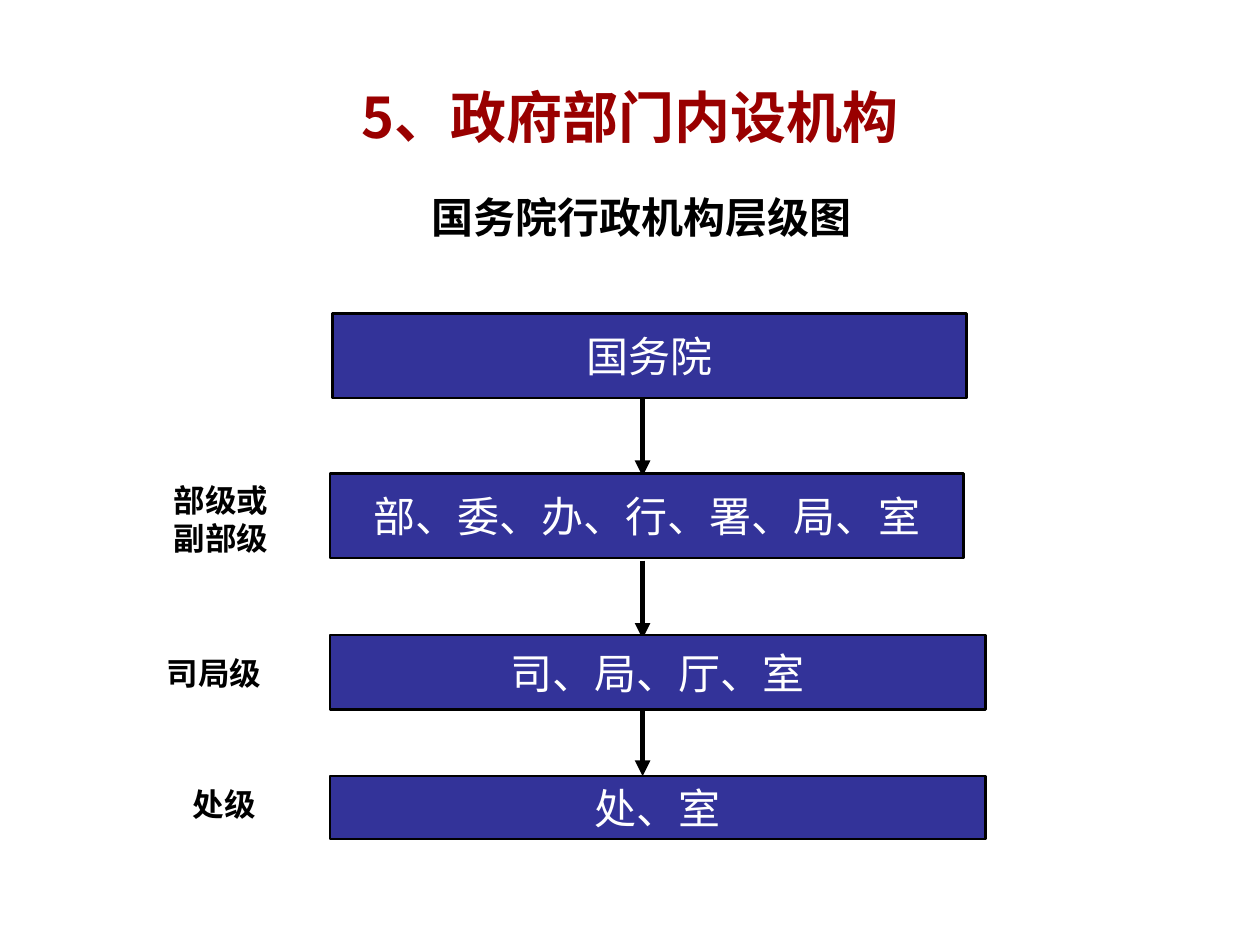
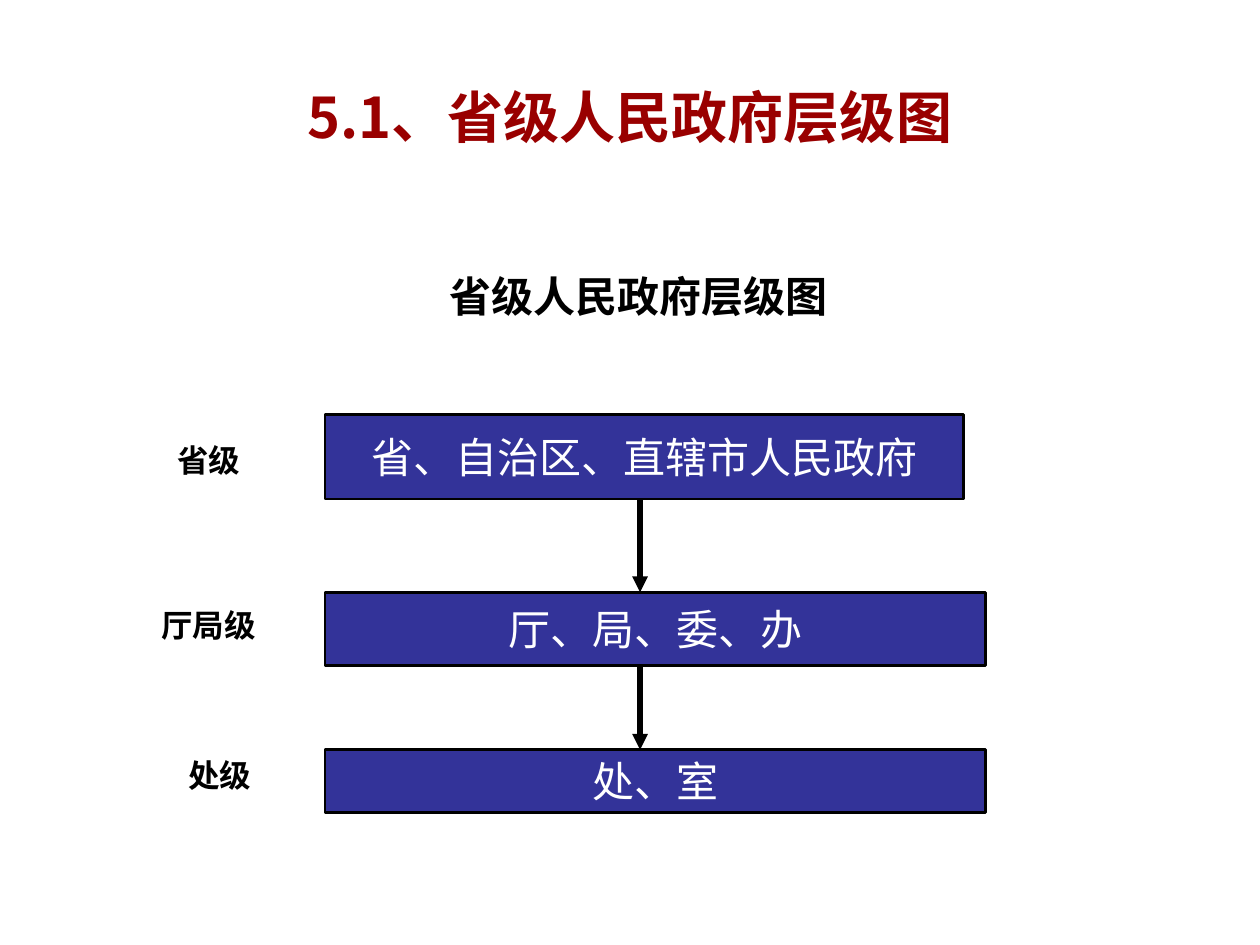
import pptx
import pptx.util
import pptx.dml.color
import pptx.enum.dml
import pptx.enum.lang
import pptx.enum.shapes
import pptx.enum.text
import pptx.oxml.ns
import lxml.etree

PX = 9144
RED = pptx.dml.color.RGBColor(0x99, 0x00, 0x00)
INDIGO = pptx.dml.color.RGBColor(0x33, 0x33, 0x99)
BLACK = pptx.dml.color.RGBColor(0x00, 0x00, 0x00)
WHITE = pptx.dml.color.RGBColor(0xFF, 0xFF, 0xFF)
LATIN_FONT = "Times New Roman"
CHINESE_FONT = "Noto Sans CJK SC"
LABEL_HEIGHT = 40
HEADING_HEIGHT = 50

ANCHOR = pptx.enum.text.MSO_ANCHOR
AUTO_SIZE = pptx.enum.text.MSO_AUTO_SIZE


def px(*lengths):
    return [pptx.util.Emu(length * PX) for length in lengths]


def write_text(shape, text, size, color, bold=False, font_name=LATIN_FONT):
    text_frame = shape.text_frame
    text_frame.text = text
    for paragraph in text_frame.paragraphs:
        paragraph.alignment = pptx.enum.text.PP_ALIGN.CENTER
        for run in paragraph.runs:
            font = run.font
            font.name = font_name
            font.size = pptx.util.Pt(size)
            font.bold = bold
            font.color.rgb = color
            font.language_id = pptx.enum.lang.MSO_LANGUAGE_ID.SIMPLIFIED_CHINESE
            properties = run._r.get_or_add_rPr()
            east_asian = lxml.etree.SubElement(properties, pptx.oxml.ns.qn("a:ea"))
            east_asian.set("typeface", CHINESE_FONT)


def add_title_slide(presentation, title_text):
    slide = presentation.slides.add_slide(presentation.slide_layouts[5])
    title = slide.shapes.title
    title.left, title.top, title.width, title.height = px(50, 30, 900, 125)
    title.text_frame.vertical_anchor = ANCHOR.MIDDLE
    write_text(title, title_text, 32, RED, True, CHINESE_FONT)
    return slide


def add_rectangle(slide, place, fill):
    rectangle = slide.shapes.add_shape(
        pptx.enum.shapes.MSO_SHAPE.RECTANGLE, *px(*place))
    rectangle.shadow.inherit = False
    rectangle.fill.solid()
    rectangle.fill.fore_color.rgb = fill
    return rectangle


def add_caption(slide, place, text, size):
    caption = add_rectangle(slide, place, WHITE)
    caption.line.fill.background()
    caption.text_frame.word_wrap = True
    caption.text_frame.vertical_anchor = ANCHOR.TOP
    caption.text_frame.auto_size = AUTO_SIZE.SHAPE_TO_FIT_TEXT
    write_text(caption, text, size, BLACK, True)


def add_level(slide, place, text):
    level = add_rectangle(slide, place, INDIGO)
    level.line.color.rgb = BLACK
    level.line.width = pptx.util.Pt(1.5)
    level.text_frame.word_wrap = False
    level.text_frame.vertical_anchor = ANCHOR.MIDDLE
    write_text(level, text, 24, WHITE)


def add_arrow(slide, center, top, bottom):
    arrow = slide.shapes.add_connector(
        pptx.enum.shapes.MSO_CONNECTOR.STRAIGHT, *px(center, top, center, bottom))
    arrow.line.color.rgb = BLACK
    arrow.line.width = pptx.util.Pt(3)
    line = arrow.line._get_or_add_ln()
    lxml.etree.SubElement(line, pptx.oxml.ns.qn("a:tailEnd"), type="triangle")
    lxml.etree.SubElement(arrow._element.spPr, pptx.oxml.ns.qn("a:effectLst"))


def add_hierarchy(slide, heading, levels, labels, arrow_center, arrows):
    left, top, width, text = heading
    add_caption(slide, (left, top, width, HEADING_HEIGHT), text, 24)
    for arrow_top, arrow_bottom in arrows:
        add_arrow(slide, arrow_center, arrow_top, arrow_bottom)
    for *place, text in levels:
        add_level(slide, place, text)
    for left, top, width, text in labels:
        height = LABEL_HEIGHT + 30 * text.count("\n")
        add_caption(slide, (left, top, width, height), text, 18)


def main():
    presentation = pptx.Presentation()
    presentation.slide_width, presentation.slide_height = px(1000, 750)

    add_hierarchy(
        add_title_slide(presentation, "5、政府部门内设机构"),
        heading=(274, 147, 471, "国务院行政机构层级图"),
        levels=[
            (264, 249, 503, 67, "国务院"),
            (262, 376, 503, 67, "部、委、办、行、署、局、室"),
            (262, 504, 520, 59, "司、局、厅、室"),
            (262, 616, 520, 50, "处、室"),
        ],
        labels=[
            (106, 377, 139, "部级或\n副部级"),
            (111, 514, 118, "司局级"),
            (119, 618, 118, "处级"),
        ],
        arrow_center=510,
        arrows=[(316, 378), (445, 507), (563, 616)],
    )

    add_hierarchy(
        add_title_slide(presentation, "5.1、省级人民政府层级图"),
        heading=(270, 210, 474, "省级人民政府层级图"),
        levels=[
            (258, 329, 507, 67, "省、自治区、直辖市人民政府"),
            (258, 470, 524, 58, "厅、局、委、办"),
            (258, 595, 524, 50, "处、室"),
        ],
        labels=[
            (106, 345, 119, "省级"),
            (106, 476, 119, "厅局级"),
            (115, 595, 119, "处级"),
        ],
        arrow_center=508,
        arrows=[(395, 470), (529, 595)],
    )

    presentation.save("out.pptx")


if __name__ == "__main__":
    main()
